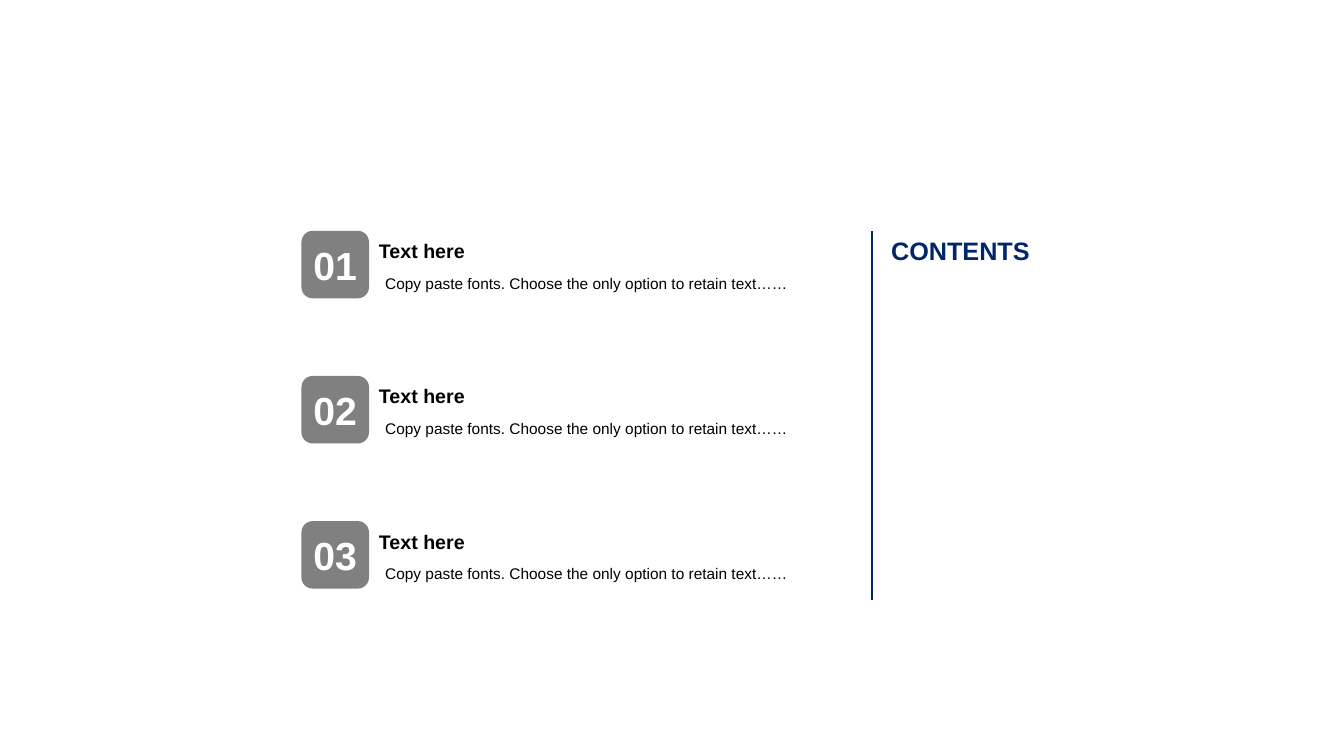
from lxml.etree import SubElement
from pptx import Presentation
from pptx.dml.color import RGBColor
from pptx.enum.shapes import MSO_CONNECTOR, MSO_SHAPE
from pptx.enum.text import MSO_ANCHOR, PP_ALIGN
from pptx.oxml.ns import qn
from pptx.util import Inches, Pt

NAVY = RGBColor(0x01, 0x26, 0x6A)
GRAY = RGBColor(0x80, 0x80, 0x80)
BLACK = RGBColor(0, 0, 0)
WHITE = RGBColor(0xFF, 0xFF, 0xFF)


class ContentsSlide:
    """Draws the elements of a contents slide in one shared style."""

    font = "Arial"

    def __init__(self, slide):
        self.shapes = slide.shapes

    def set_text(self, sp, text, size, color, bold, anchor, align=PP_ALIGN.LEFT):
        tf = sp.text_frame
        tf.word_wrap = True
        tf.vertical_anchor = anchor
        p = tf.paragraphs[0]
        p.text = text
        p.alignment = align
        p.font.name = self.font
        p.font.size = Pt(size)
        p.font.bold = bold
        p.font.color.rgb = color
        return tf

    def text(self, box, text, size, color=BLACK, bold=True, anchor=MSO_ANCHOR.MIDDLE):
        sp = self.shapes.add_textbox(*map(Inches, box))
        return self.set_text(sp, text, size, color, bold, anchor)

    def description(self, box, text):
        tf = self.text(box, text, 11, bold=False, anchor=MSO_ANCHOR.TOP)
        tf.margin_left = Inches(0.16)
        tf.margin_top = tf.margin_right = tf.margin_bottom = 0
        tf.paragraphs[0].line_spacing = 1.2

    def badge(self, left, top, size, number):
        sp = self.shapes.add_shape(
            MSO_SHAPE.ROUNDED_RECTANGLE, *map(Inches, (left, top, size, size)))
        sp.shadow.inherit = False
        sp.fill.solid()
        sp.fill.fore_color.rgb = GRAY
        sp.line.fill.background()
        tf = self.set_text(sp, number, 28, WHITE, True, MSO_ANCHOR.MIDDLE, PP_ALIGN.CENTER)
        tf.margin_left = tf.margin_right = 0

    def divider(self, x, top, bottom):
        line = self.shapes.add_connector(
            MSO_CONNECTOR.STRAIGHT, *map(Inches, (x, top, x, bottom)))
        line.line.color.rgb = NAVY
        line.line.width = Pt(1.5)
        SubElement(line._element.spPr, qn("a:effectLst"))

    def entry(self, top, number, heading, detail):
        self.badge(2.99, top, 0.67, number)
        self.text((3.66, top + 0.01, 4.61, 0.38), heading, 14)
        self.description((3.66, top + 0.39, 4.61, 0.39), detail)


def main():
    prs = Presentation()
    prs.slide_width = Inches(13.33)
    prs.slide_height = Inches(7.5)
    s = ContentsSlide(prs.slides.add_slide(prs.slide_layouts[6]))

    s.divider(8.65, 2.29, 5.95)
    s.text((8.74, 2.29, 1.61, 0.47), "CONTENTS", 18, NAVY, anchor=MSO_ANCHOR.TOP)
    for i in range(3):
        s.entry(2.29 + 1.44 * i, f"{i + 1:02}", "Text here",
                "Copy paste fonts. Choose the only option to retain text……")

    prs.save("out.pptx")


if __name__ == "__main__":
    main()
